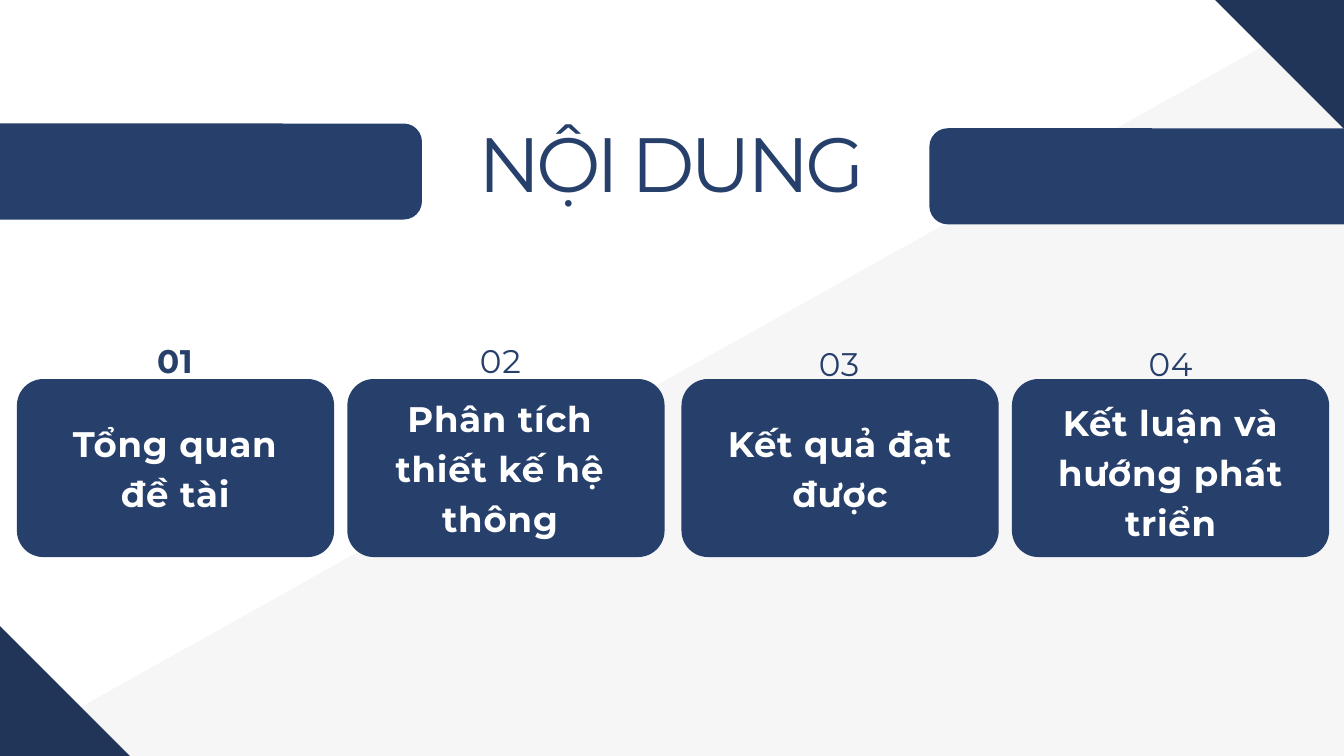
from pptx import Presentation
from pptx.dml.color import RGBColor
from pptx.enum.shapes import MSO_SHAPE as Shape
from pptx.enum.text import MSO_AUTO_SIZE as AutoSize, PP_ALIGN as Align
from pptx.oxml.ns import qn
from pptx.util import Cm, Pt
from lxml import etree

NAVY = RGBColor(0x26, 0x3F, 0x6B)
DARK_NAVY = RGBColor(0x21, 0x35, 0x59)
GRAY = RGBColor(0x54, 0x54, 0x54)
WHITE = RGBColor(0xFF, 0xFF, 0xFF)


def write_text(frame, text, *, size, color, line, spacing, bold=False, font="Montserrat"):
    paragraph = frame.paragraphs[0]
    paragraph.alignment = Align.CENTER
    paragraph.line_spacing = Pt(line)
    run = paragraph.add_run()
    run.text = text
    run.font.name = font
    run.font.size = Pt(size)
    run.font.bold = bold
    run.font.color.rgb = color
    # Letter spacing is stored in hundredths of a point
    run._r.get_or_add_rPr().set("spc", str(round(spacing * 100)))


class SlideBuilder:
    TITLE = dict(size=82.4, color=NAVY, line=80.7, spacing=-4.8)
    NUMBER = dict(size=35, color=NAVY, line=66.5, spacing=0.7)
    LABEL = dict(size=38, color=WHITE, line=53.2, spacing=0.8, bold=True)

    def __init__(self, slide):
        self.slide = slide

    def block(self, left, top, width, height, color, *, kind=Shape.RECTANGLE,
              rotation=0, opacity=100):
        shape = self.slide.shapes.add_shape(kind, Cm(left), Cm(top), Cm(width), Cm(height))
        shape.shadow.inherit = False
        shape.rotation = rotation
        shape.fill.solid()
        shape.fill.fore_color.rgb = color
        shape.line.fill.background()
        if opacity < 100:
            tint = shape._element.spPr.find(f"{qn('a:solidFill')}/{qn('a:srgbClr')}")
            etree.SubElement(tint, qn("a:alpha")).set("val", str(opacity * 1000))
        return shape

    def rounded(self, left, top, width, height, radius):
        shape = self.block(left, top, width, height, NAVY, kind=Shape.ROUNDED_RECTANGLE)
        shape.adjustments[0] = radius / min(width, height)

    def text(self, left, top, width, height, text, **style):
        box = self.slide.shapes.add_textbox(Cm(left), Cm(top), Cm(width), Cm(height))
        frame = box.text_frame
        frame.word_wrap = True
        frame.auto_size = AutoSize.SHAPE_TO_FIT_TEXT
        frame.margin_left = frame.margin_right = 0
        frame.margin_top = frame.margin_bottom = 0
        write_text(frame, text, **style)


def main():
    presentation = Presentation()
    presentation.slide_width = Cm(50.8)
    presentation.slide_height = Cm(28.58)
    builder = SlideBuilder(presentation.slides.add_slide(presentation.slide_layouts[6]))

    # Background: pale slanted band and dark corners
    builder.block(-3.1, 12.09, 71.63, 26.62, GRAY, rotation=330.8, opacity=5)
    for left, top in ((-7.34, 25.12), (43.46, -3.45)):
        builder.block(left, top, 14.71, 6.91, DARK_NAVY, rotation=45)

    # Title between two bars
    for left, top in ((-6.99, 4.67), (35.13, 4.85)):
        builder.rounded(left, top, 22.94, 3.63, radius=0.69)
    builder.text(17.15, 5, 16.48, 3, "NỘI DUNG", **builder.TITLE)

    # Sections: card left, number left and top, label left, top, width and height
    sections = [
        ("Tổng quan đề tài", 0.64, (1.75, 12.04), (2.18, 15.7, 8.89, 3.63)),
        ("Phân tích thiết kế hệ thông", 13.13, (14.05, 12.04), (13.59, 14.76, 10.62, 5.54)),
        ("Kết quả đạt được", 25.76, (26.85, 12.14), (26.44, 15.7, 10.62, 3.63)),
        ("Kết luận và hướng phát triển", 38.25, (39.38, 12.14), (38.94, 14.91, 10.62, 5.54)),
    ]
    for index, (label, card_left, number_at, label_box) in enumerate(sections, start=1):
        builder.rounded(card_left, 14.33, 11.99, 6.73, radius=1)
        builder.text(*number_at, 9.73, 2.11, f"{index:02}", bold=index == 1, **builder.NUMBER)
        builder.text(*label_box, label, **builder.LABEL)

    presentation.save("out.pptx")


if __name__ == "__main__":
    main()
